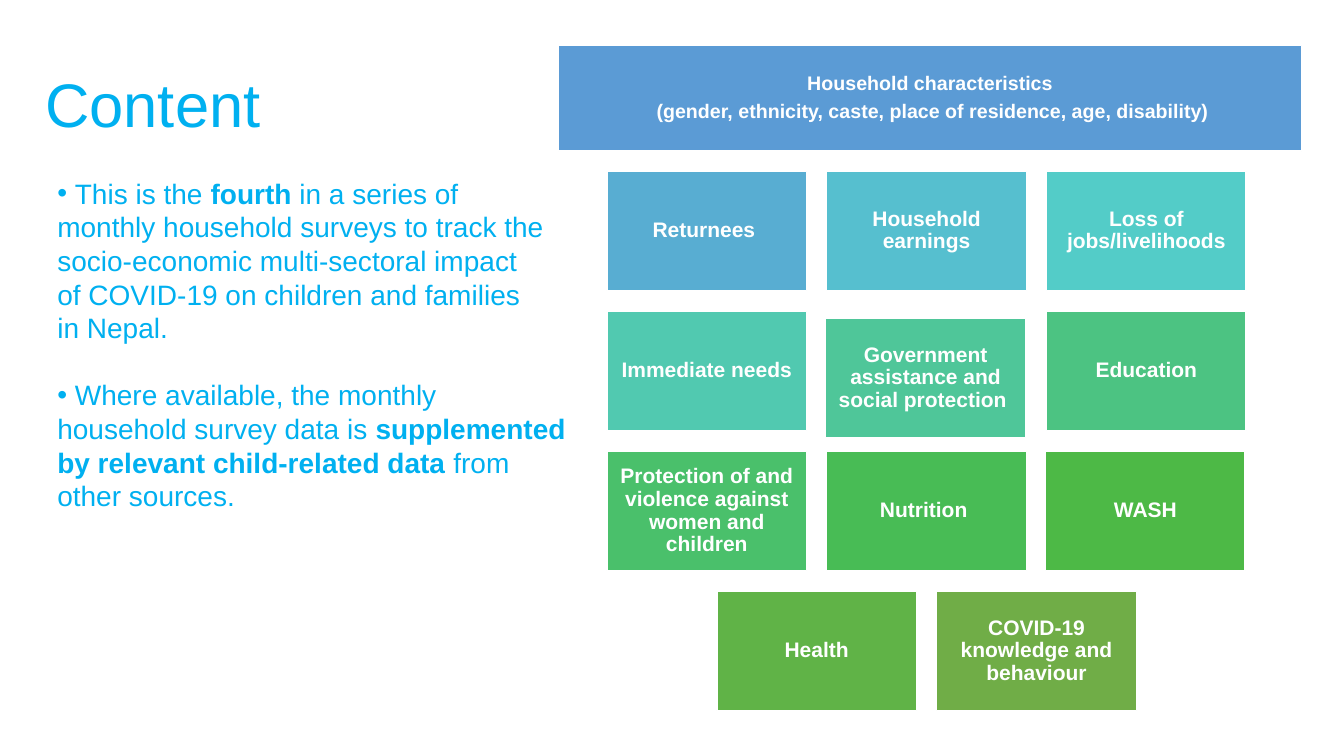
from dataclasses import dataclass

from lxml.etree import SubElement
from pptx import Presentation
from pptx.dml.color import RGBColor
from pptx.enum.shapes import MSO_SHAPE as Shape
from pptx.enum.text import MSO_ANCHOR as Anchor, PP_ALIGN as Align
from pptx.oxml.ns import qn
from pptx.util import Inches, Pt


@dataclass(frozen=True)
class Theme:
    font: str = "Arial"
    accent: str = "00B0F0"
    white: str = "FFFFFF"
    header: str = "5B9BD5"
    title_size: float = 43.9
    body_size: float = 20
    tile_size: float = 15
    header_size: float = 14


THEME = Theme()
TIE = "~"
HARD_SPACE = chr(160)

HEADER = [
    "Household characteristics",
    "~(gender, ethnicity, caste, place of residence, age, disability)",
]

TOPIC_ROWS = [
    [("Returnees~", "58ADD2"), ("Household earnings", "56BFCF"),
     ("Loss of jobs/livelihoods", "53CCC8")],
    [("Immediate needs", "51C9B0"),
     ("Government assistance and social protection~", "4FC699"),
     ("Education", "4CC382")],
    [("Protection of and violence against women and children", "4AC06B"),
     ("Nutrition~", "48BC55"), ("WASH", "4DB946")],
    [("Health", "60B347"), ("COVID-19 knowledge and behaviour", "70AD47")],
]
NUDGES = {(1, 1): (-0.01, 0.07), (2, 2): (-0.01, 0)}

GRID_LEFT, GRID_TOP = 6.02, 1.7
TILE_WIDTH, TILE_HEIGHT = 1.98, 1.18
COLUMN_STEP, ROW_STEP = 2.18, 1.39
COLUMNS = 3

POINTS = [
    [("~This is the~", False), ("fourth~", True),
     ("in a series of monthly~household surveys to track the socio-economic "
      "multi-sectoral impact of~COVID-19 on children and families in~Nepal.", False)],
    [("~Where available, the monthly household~survey data is ", False),
     ("supplemented by relevant~child-related data ", True),
     ("from other sources.", False)],
]


def tied(text):
    return text.replace(TIE, HARD_SPACE)


def style(para, size, color, bold=None):
    para.font.name = THEME.font
    para.font.size = Pt(size)
    para.font.color.rgb = RGBColor.from_string(color)
    para.font.bold = bold


def paragraphs(frame, count):
    return [frame.paragraphs[0]] + [frame.add_paragraph() for _ in range(count - 1)]


def add_tile(page, left, top, width, height, fill, lines, size):
    tile = page.shapes.add_shape(
        Shape.RECTANGLE, Inches(left), Inches(top), Inches(width), Inches(height))
    tile.shadow.inherit = False
    tile.fill.solid()
    tile.fill.fore_color.rgb = RGBColor.from_string(fill)
    tile.line.color.rgb = RGBColor.from_string(THEME.white)
    tile.line.width = Pt(1)
    frame = tile.text_frame
    frame.word_wrap = True
    frame.vertical_anchor = Anchor.MIDDLE
    frame.margin_left = frame.margin_right = Inches(0.06)
    frame.margin_top = frame.margin_bottom = Inches(0.06)
    for para, line in zip(paragraphs(frame, len(lines)), lines):
        para.text = tied(line)
        para.alignment = Align.CENTER
        para.line_spacing = 0.9
        para.space_after = Pt(0.35 * size)
        style(para, size, THEME.white, True)


def add_topics(page):
    for row, topics in enumerate(TOPIC_ROWS):
        indent = (COLUMNS - len(topics)) * COLUMN_STEP / 2
        for column, (label, fill) in enumerate(topics):
            shift_x, shift_y = NUDGES.get((row, column), (0, 0))
            add_tile(page, GRID_LEFT + indent + column * COLUMN_STEP + shift_x,
                     GRID_TOP + row * ROW_STEP + shift_y,
                     TILE_WIDTH, TILE_HEIGHT, fill, [label], THEME.tile_size)


def add_text_frame(page, left, top, width, height):
    box = page.shapes.add_textbox(
        Inches(left), Inches(top), Inches(width), Inches(height))
    box.text_frame.word_wrap = True
    return box.text_frame


def add_title(page, text):
    frame = add_text_frame(page, 0.35, 0.5, 4.21, 0.99)
    frame.vertical_anchor = Anchor.BOTTOM
    frame.margin_bottom = Inches(0.11)
    para = frame.paragraphs[0]
    para.text = text
    para.line_spacing = 0.8
    style(para, THEME.title_size, THEME.accent)


def add_points(page, points):
    frame = add_text_frame(page, 0.47, 1.7, 5.33, 3.47)
    for index, (para, spans) in enumerate(zip(paragraphs(frame, len(points)), points)):
        if index:
            para.space_before = Pt(24)
        properties = para._p.get_or_add_pPr()
        properties.set("marL", "0")
        properties.set("indent", "0")
        SubElement(properties, qn("a:buFont"), typeface=THEME.font)
        SubElement(properties, qn("a:buChar"), char="•")
        style(para, THEME.body_size, THEME.accent)
        for text, bold in spans:
            span = para.add_run()
            span.text = tied(text)
            span.font.bold = bold


def main():
    deck = Presentation()
    deck.slide_width = Inches(13.33)
    deck.slide_height = Inches(7.5)
    page = deck.slides.add_slide(deck.slide_layouts[6])
    add_tile(page, 5.54, 0.45, 7.37, 1.05, THEME.header, HEADER, THEME.header_size)
    add_topics(page)
    add_title(page, "Content")
    add_points(page, POINTS)
    deck.save("out.pptx")


if __name__ == "__main__":
    main()
